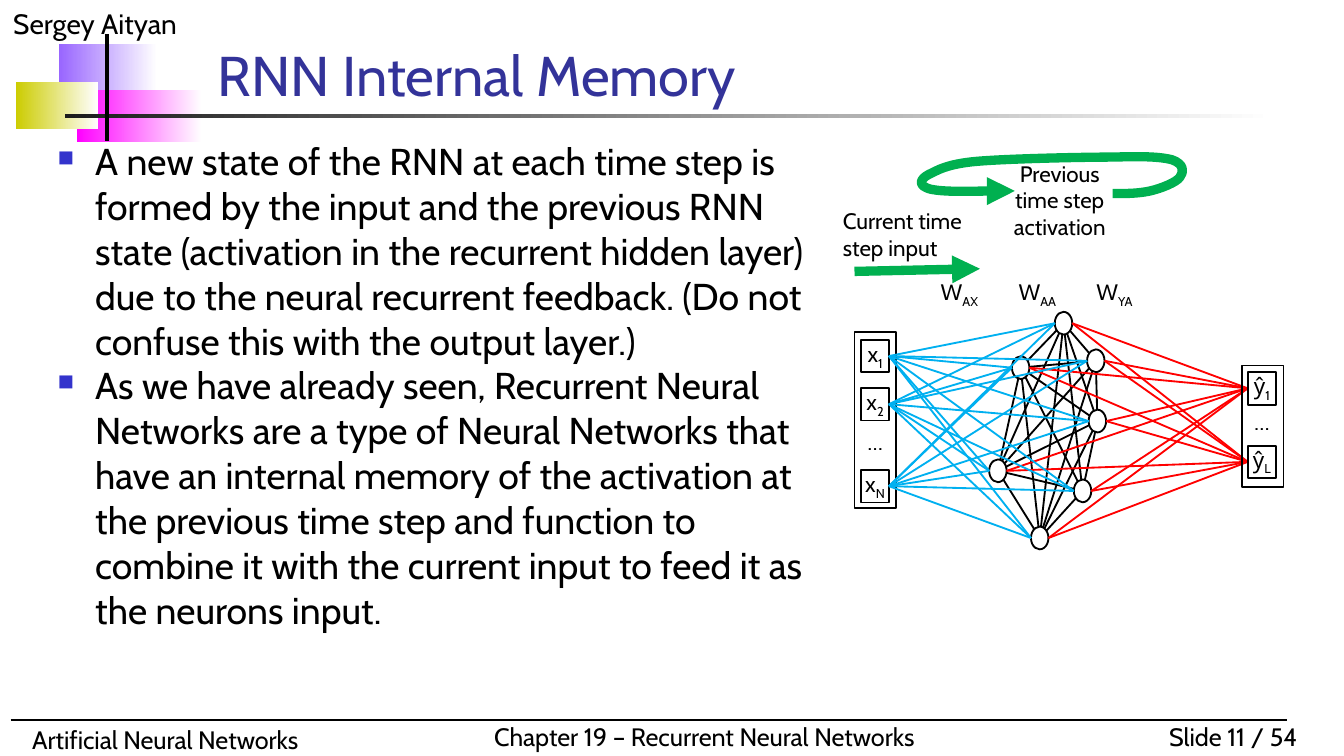
import itertools
import math

import pptx
import pptx.dml.color
import pptx.enum.shapes
import pptx.enum.text
import pptx.oxml
import pptx.oxml.ns
import pptx.util

Cm = pptx.util.Cm
Pt = pptx.util.Pt
qn = pptx.oxml.ns.qn
Shape = pptx.enum.shapes.MSO_SHAPE
Align = pptx.enum.text.PP_ALIGN
Anchor = pptx.enum.text.MSO_ANCHOR

COLORS = {
    "black": "000000", "white": "FFFFFF", "title": "333399", "bullet": "3333CC",
    "violet": "9966FF", "pink": "FF00FF", "olive": "CCCC00", "ink": "1C1C1C",
    "red": "FF0000", "blue": "00B0F0", "green": "00B050",
}
TIGHT = (0, 0, 0, 0.1)
NORMAL = (0.25, 0.13, 0.25, 0.13)


def rgb(name):
    return pptx.dml.color.RGBColor.from_string(COLORS[name])


def add_xml(parent, tag, **attrs):
    child = parent.makeelement(qn(tag), attrs)
    parent.append(child)
    return child


class Painter:
    """Holds the font and the slide being drawn; all lengths are in cm."""

    def __init__(self, slide, font):
        self.shapes = slide.shapes
        self.font = font

    def fill_text(self, frame, paras, size, color="black", align=Align.LEFT,
                  pad=NORMAL, anchor=Anchor.TOP, wrap=True, bullet=False, tabs=()):
        """Each paragraph is a list of runs; every second run is a subscript."""
        frame.word_wrap = wrap
        frame.vertical_anchor = anchor
        (frame.margin_left, frame.margin_top,
         frame.margin_right, frame.margin_bottom) = map(Cm, pad)
        for i, runs in enumerate(paras):
            para = frame.add_paragraph() if i else frame.paragraphs[0]
            para.alignment = align
            props = para._p.get_or_add_pPr()
            if bullet:
                props.set("marL", str(Cm(0.71)))
                props.set("indent", str(-Cm(0.71)))
                tint = add_xml(props, "a:buClr")
                add_xml(tint, "a:srgbClr", val=COLORS["bullet"])
                add_xml(props, "a:buSzPct", val="60000")
                add_xml(props, "a:buChar", char="■")
            if tabs:
                stops = add_xml(props, "a:tabLst")
                for tab in tabs:
                    add_xml(stops, "a:tab", pos=str(Cm(tab)), algn="l")
            para.font.name = self.font
            para.font.size = Pt(size)
            para.font.color.rgb = rgb(color)
            for j, words in enumerate(runs):
                run = para.add_run()
                run.text = words
                if j % 2:
                    run._r.get_or_add_rPr().set("baseline", "-25000")

    def text(self, place, paras, size, **style):
        box = self.shapes.add_textbox(*map(Cm, place))
        self.fill_text(box.text_frame, paras, size, **style)

    def fade(self, place, color):
        bar = self.shapes.add_shape(Shape.RECTANGLE, *map(Cm, place))
        bar.shadow.inherit = False
        bar.line.fill.background()
        bar.fill.gradient()
        bar.fill.gradient_angle = 0
        for stop, name in zip(bar.fill.gradient_stops, (color, "white")):
            stop.color.rgb = rgb(name)

    def outline(self, kind, place, runs=None):
        shape = self.shapes.add_shape(kind, *map(Cm, place))
        shape.shadow.inherit = False
        shape.fill.background()
        self.stroke(shape, "black", 1)
        if runs:
            self.fill_text(shape.text_frame, [runs], 12, align=Align.CENTER, pad=TIGHT)

    def stroke(self, shape, color, width, arrow=False):
        shape.line.color.rgb = rgb(color)
        shape.line.width = Pt(width)
        if arrow:
            add_xml(shape._element.spPr.find(qn("a:ln")), "a:tailEnd", type="triangle")

    def line(self, start, end, color="black", width=1, arrow=False):
        link = self.shapes.add_connector(
            pptx.enum.shapes.MSO_CONNECTOR.STRAIGHT, *map(Cm, (*start, *end)))
        self.stroke(link, color, width, arrow)
        add_xml(link._element.spPr, "a:effectLst")

    def curve(self, points, color, width):
        """Draw a start point and triples of Bezier points, ending in an arrow."""
        points = [(Cm(x), Cm(y)) for x, y in points]
        maker = self.shapes.build_freeform(*points[0])
        maker.add_line_segments(points[1:], close=False)
        shape = maker.convert_to_shape()
        shape.shadow.inherit = False
        shape.fill.background()
        self.stroke(shape, color, width, arrow=True)
        steps = list(shape._element.iter(qn("a:lnTo")))
        track = steps[0].getparent()
        for i in range(0, len(steps), 3):
            bend = add_xml(track, "a:cubicBezTo")
            for step in steps[i:i + 3]:
                bend.append(step[0])
                track.remove(step)


NODE_W, NODE_H = 0.33, 0.43
NODES = [(20.1, 6.11), (20.71, 6.82), (19.29, 6.95), (20.74, 7.96),
         (18.86, 8.9), (20.46, 9.28), (19.65, 10.17)]
UNLINKED = (NODES[1], NODES[5])
INPUTS = {"1": 6.43, "2": 7.34, "N": 8.89}
OUTPUTS = {"1": 7.04, "L": 8.43}
LOOP = [
    (21.03, 3.66), (21.29, 3.66), (21.51, 3.66), (21.74, 3.61),
    (21.95, 3.56), (22.23, 3.45), (22.3, 3.35), (22.38, 3.25),
    (22.38, 3.1), (22.15, 3.02), (21.95, 2.97), (21.67, 2.95),
    (21.06, 2.97), (20.45, 2.97), (19.05, 3), (18.47, 3.05),
    (17.88, 3.1), (17.7, 3.23), (17.55, 3.3), (17.4, 3.38),
    (17.32, 3.51), (17.6, 3.58), (17.86, 3.63), (18.52, 3.61), (19.18, 3.61),
]
BODY = [
    ["A new state of the RNN at each time step is formed by the input and the "
     "previous RNN state (activation in the recurrent hidden layer) due to the "
     "neural recurrent feedback. (Do not confuse this with the output layer.)"],
    ["As we have already seen, Recurrent Neural Networks are a type of Neural "
     "Networks that have an internal memory of the activation at the previous time "
     "step and function to combine it with the current input to feed it as the "
     "neurons input."],
]


def rim(node, goal):
    """Point on the edge of a node that faces the goal."""
    dx, dy = goal[0] - node[0], goal[1] - node[1]
    reach = math.hypot(dx / (NODE_W / 2), dy / (NODE_H / 2))
    return node[0] + dx / reach, node[1] + dy / reach


def draw_frame(pen):
    pen.fade((1.12, 0.84, 1.85, 0.99), "violet")
    pen.fade((1.45, 1.7, 2.36, 0.99), "pink")
    pen.fade((0.3, 1.55, 1.55, 0.89), "olive")
    pen.fade((1.22, 2.16, 22.86, 0.08), "ink")
    pen.text((0, 0, 6.35, 0.89), [["Sergey Aityan"]], 15)
    pen.text((20.96, 13.51, 3.81, 0.84), [["Slide 11 / 54"]], 13.5, align=Align.RIGHT)
    pen.text((0.36, 13.56, 9.4, 0.84), [["Artificial Neural Networks"]], 13.5)
    pen.text((9.09, 13.51, 9.14, 0.84),
             [["Chapter 19 – Recurrent Neural Networks"]], 13.5, wrap=False)
    pen.line((0.2, 13.61), (24.33, 13.61), width=0.75)
    pen.line((2.03, 0.64), (2.03, 2.67), width=2)


def draw_layer(pen, frame, left, letter, tops, dots):
    for sub, top in tops.items():
        pen.outline(Shape.RECTANGLE, (left, top, 0.54, 0.61), [letter, sub])
    pen.outline(Shape.RECTANGLE, frame)
    pen.text((left, dots, 0.54, 0.51), [["…"]], 12, align=Align.CENTER, pad=(0, 0, 0, 0))


def draw_net(pen):
    for x, y in NODES:
        pen.outline(Shape.OVAL, (x - NODE_W / 2, y - NODE_H / 2, NODE_W, NODE_H))
    for pair in itertools.combinations(NODES, 2):
        if pair != UNLINKED:
            pen.line(rim(*pair), rim(*pair[::-1]))
    for (x, y), top in itertools.product(NODES, OUTPUTS.values()):
        pen.line((x + NODE_W / 2, y), (23.58, top + 0.3), "red")
    draw_layer(pen, (16.15, 6.27, 0.79, 3.33), 16.27, "x", INPUTS, 8.1)
    draw_layer(pen, (23.47, 6.91, 0.79, 2.29), 23.58, "ŷ", OUTPUTS, 7.72)
    for (x, y), top in itertools.product(NODES, INPUTS.values()):
        pen.line((16.8, top + 0.3), (x - NODE_W / 2, y), "blue")


def main():
    deck = pptx.Presentation()
    deck.slide_width, deck.slide_height = Cm(25.4), Cm(14.29)
    pen = Painter(deck.slides.add_slide(deck.slide_layouts[6]), "Cabin")
    draw_frame(pen)
    pen.text((3.86, 0.79, 20.9, 1.37), [["RNN Internal Memory"]], 30,
             color="title", anchor=Anchor.BOTTOM)
    pen.text((0.84, 2.49, 14.96, 3.02), BODY, 20, bullet=True)
    pen.text((15.93, 3.91, 2.87, 1.12), [["Current time step input"]], 12, pad=TIGHT)
    draw_net(pen)
    pen.text((18.95, 3.02, 2.16, 1.63), [["Previous time step activation"]], 12,
             align=Align.CENTER, pad=TIGHT)
    pen.line((16.15, 5.13), (18.52, 5.08), "green", 5, arrow=True)
    pen.curve(LOOP, "green", 5)
    pen.text((17.78, 5.26, 4.93, 0.61), [["W", "AX", "\tW", "AA", "\tW", "YA"]], 12,
             pad=TIGHT, tabs=(1.47, 2.94))
    deck.save("out.pptx")


if __name__ == "__main__":
    main()
